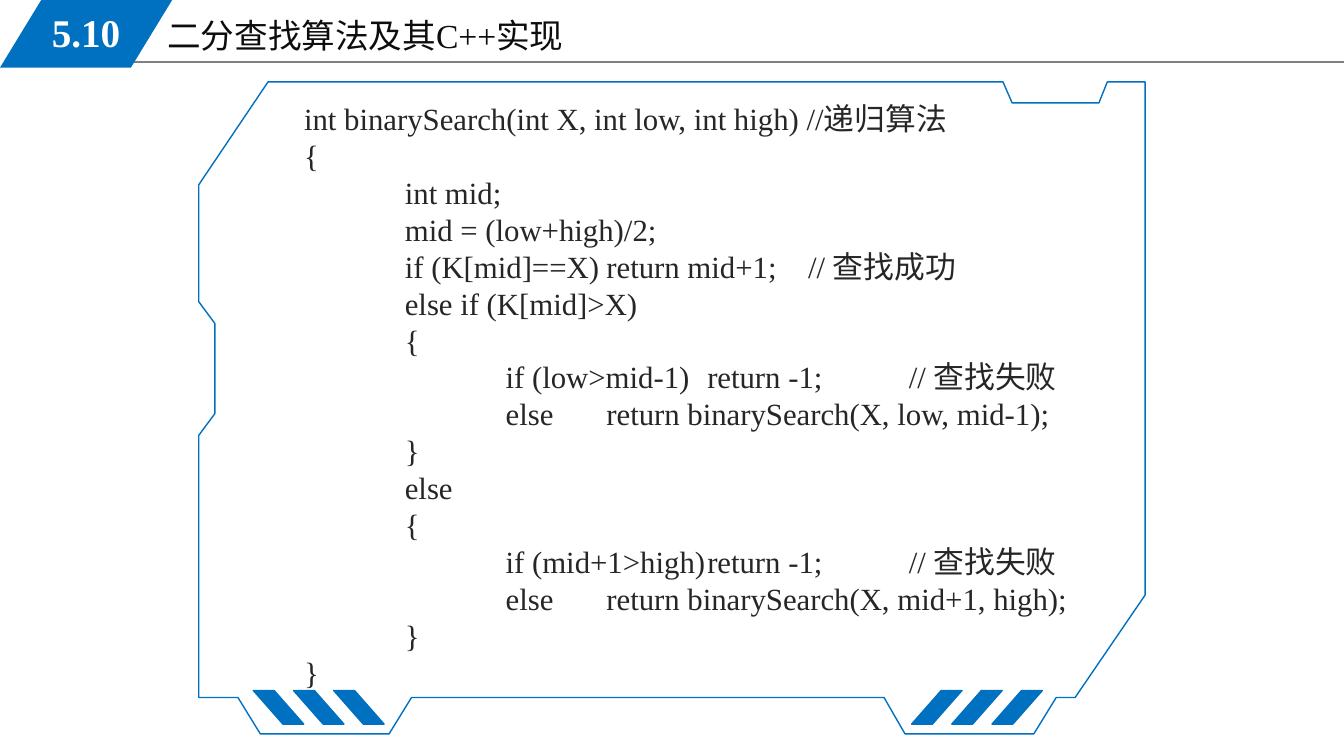
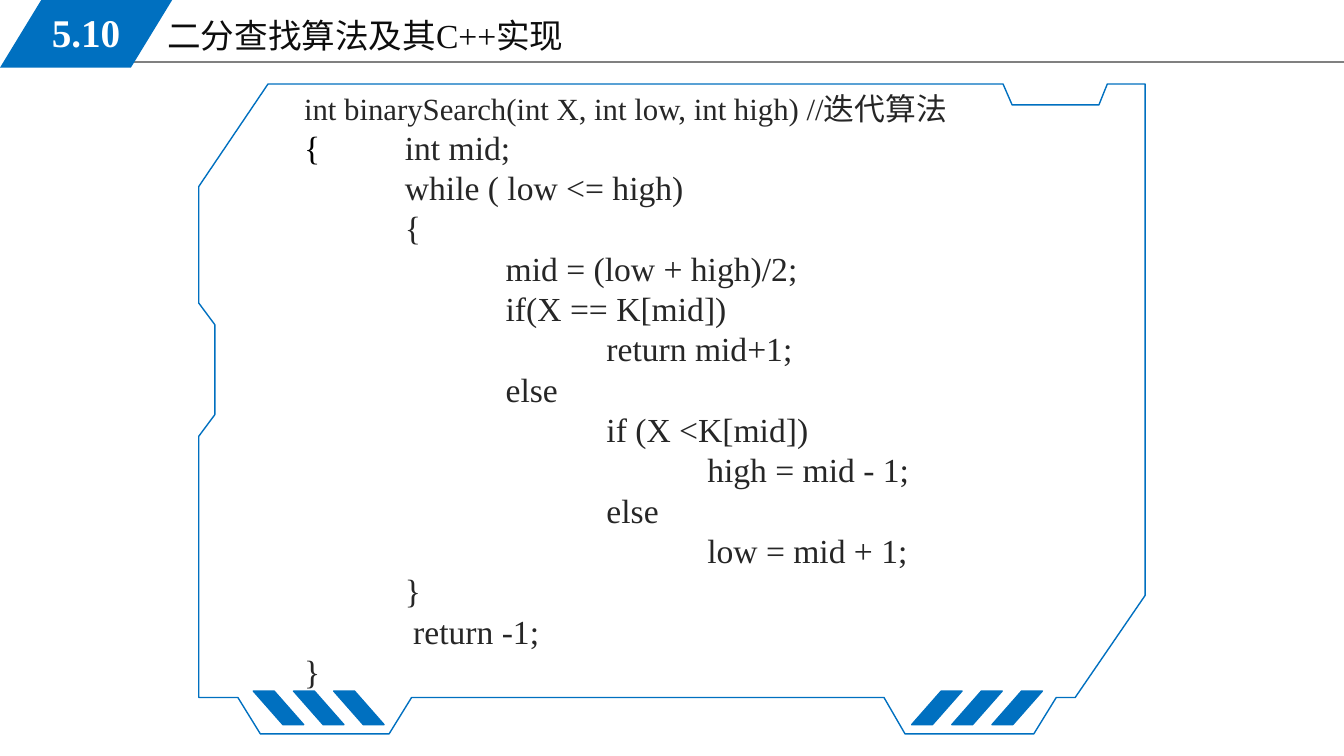
"""Build two slides that show binary search in C++, recursive and iterative."""
from lxml.etree import SubElement
from pptx import Presentation
from pptx.dml.color import RGBColor
from pptx.enum.shapes import MSO_CONNECTOR, MSO_SHAPE
from pptx.enum.text import MSO_ANCHOR, MSO_AUTO_SIZE, PP_ALIGN
from pptx.oxml.ns import qn
from pptx.util import Pt

BLUE = RGBColor(0x00, 0x70, 0xC0)
GREY = RGBColor(0x80, 0x80, 0x80)
WHITE = RGBColor(0xFF, 0xFF, 0xFF)
BLACK = RGBColor(0x00, 0x00, 0x00)
TITLE_COLOR = RGBColor(0x0D, 0x0D, 0x0D)
CODE_COLOR = RGBColor(0x26, 0x26, 0x26)
FONT = "Times New Roman"

SECTION = "5.10"
TITLE = "二分查找算法及其C++实现"

RECURSIVE = """int binarySearch(int X, int low, int high) //递归算法
{
\tint mid;
\tmid = (low+high)/2;
\tif (K[mid]==X)\treturn mid+1;\t// 查找成功
\telse if (K[mid]>X)
\t{
\t\tif (low>mid-1)\treturn -1;\t// 查找失败
\t\telse\treturn binarySearch(X, low, mid-1);
\t}
\telse
\t{
\t\tif (mid+1>high)\treturn -1;\t// 查找失败
\t\telse\treturn binarySearch(X, mid+1, high);
\t}
}"""

ITERATIVE = """int binarySearch(int X, int low, int high) //迭代算法
{\tint mid;
\twhile ( low <= high)
\t{
\t\tmid = (low + high)/2;
\t\tif(X == K[mid])
\t\t\treturn mid+1;
\t\telse
\t\t\tif (X <K[mid])
\t\t\t\thigh = mid - 1;
\t\t\telse
\t\t\t\tlow = mid + 1;
\t}
\t return -1;
}"""

SLIDES = [
    {"code": RECURSIVE, "size": 22, "code_top": 67.5, "code_height": 482, "frame_top": 58.5, "stripe_top": 493.2},
    {"code": ITERATIVE, "size": 24, "code_top": 60.5, "code_height": 441, "frame_top": 60, "stripe_top": 493.6},
]

HEADING_SIZE = 22
LINE_FACTOR = 1.2
TAB_STEP = 72

FRAME_TOP, FRAME_BOTTOM = 58.5, 524.2
FRAME_OUTLINE = [
    (646.5, 524.2), (738.5, 524.2), (754.5, 498.2), (768, 498.2), (818, 425),
    (818, 58.5), (791, 58.5), (785, 73.5), (723, 73.5), (716.5, 58.5),
    (191.5, 58.5), (142, 132), (142, 215.5), (153.5, 231), (153.5, 295.5),
    (142, 311), (142, 498.2), (170, 498.2), (186, 524.2), (278, 524.2),
    (294, 498.2), (631.5, 498.2),
]
STRIPE_WIDTH, STRIPE_HEIGHT, STRIPE_STEP = 36, 24, 28.7
STRIPE_GROUPS = [(181, True), (651.2, False)]

TITLE_BOX = {"left": Pt(112.3), "top": Pt(6.8), "width": Pt(408), "height": Pt(36.5)}
TEXT_FRAME = {"word_wrap": True, "auto_size": MSO_AUTO_SIZE.NONE, "vertical_anchor": MSO_ANCHOR.TOP,
              "margin_left": Pt(7.2), "margin_right": Pt(7.2), "margin_top": Pt(3.6), "margin_bottom": Pt(3.6)}
BADGE_FRAME = {"word_wrap": False, "vertical_anchor": MSO_ANCHOR.MIDDLE,
               "margin_left": 0, "margin_right": 0, "margin_top": 0, "margin_bottom": Pt(2.4)}


def apply(target, values):
    for name, value in values.items():
        setattr(target, name, value)


def add_text(paragraph, text, size, color, bold=False):
    run = paragraph.add_run()
    run.text = text
    apply(run.font, {"name": FONT, "size": Pt(size), "bold": bold})
    run.font.color.rgb = color


presentation = Presentation()
apply(presentation, {"slide_width": Pt(960), "slide_height": Pt(540)})

for content in SLIDES:
    slide = presentation.slides.add_slide(presentation.slide_layouts[1])
    shapes = slide.shapes
    title, body = slide.placeholders

    apply(title, TITLE_BOX)
    apply(title.text_frame, TEXT_FRAME)
    paragraph = title.text_frame.paragraphs[0]
    paragraph.alignment = PP_ALIGN.LEFT
    add_text(paragraph, TITLE, 24, TITLE_COLOR)

    rule = shapes.add_connector(MSO_CONNECTOR.STRAIGHT, Pt(81.5), Pt(44.3), Pt(960), Pt(44.3))
    rule.line.color.rgb = GREY
    rule.line.width = Pt(0.75)
    SubElement(rule._element.spPr, qn("a:effectLst"))

    badge = shapes.add_shape(MSO_SHAPE.PARALLELOGRAM, 0, 0, Pt(123), Pt(48.3))
    badge.adjustments[0] = 0.61
    badge.shadow.inherit = False
    badge.fill.solid()
    badge.fill.fore_color.rgb = BLUE
    badge.line.fill.background()
    apply(badge.text_frame, BADGE_FRAME)
    paragraph = badge.text_frame.paragraphs[0]
    paragraph.alignment = PP_ALIGN.CENTER
    add_text(paragraph, SECTION, 28, WHITE, bold=True)

    stretch = (FRAME_BOTTOM - content["frame_top"]) / (FRAME_BOTTOM - FRAME_TOP)
    outline = [(Pt(x), Pt(FRAME_BOTTOM - (FRAME_BOTTOM - y) * stretch)) for x, y in FRAME_OUTLINE]
    builder = shapes.build_freeform(*outline[0])
    builder.add_line_segments(outline[1:], close=True)
    frame = builder.convert_to_shape()
    frame.shadow.inherit = False
    frame.fill.background()
    frame.line.color.rgb = BLUE
    frame.line.width = Pt(1)

    for start, mirrored in STRIPE_GROUPS:
        for index in range(3):
            stripe = shapes.add_shape(MSO_SHAPE.PARALLELOGRAM, Pt(start + index * STRIPE_STEP),
                                      Pt(content["stripe_top"]), Pt(STRIPE_WIDTH), Pt(STRIPE_HEIGHT))
            stripe.adjustments[0] = 0.88
            stripe.shadow.inherit = False
            stripe.fill.solid()
            stripe.fill.fore_color.rgb = BLUE
            stripe.line.color.rgb = BLUE
            stripe.line.width = Pt(1)
            if mirrored:
                stripe._element.spPr.xfrm.set("flipH", "1")

    apply(body, {"left": Pt(210), "top": Pt(content["code_top"]),
                 "width": Pt(652), "height": Pt(content["code_height"])})
    apply(body.text_frame, TEXT_FRAME)
    for number, line in enumerate(content["code"].split("\n")):
        paragraph = body.text_frame.add_paragraph() if number else body.text_frame.paragraphs[0]
        size = content["size"] if number else HEADING_SIZE
        properties = paragraph._p.get_or_add_pPr()
        for name, value in {"marL": 0, "indent": 0, "defTabSz": Pt(TAB_STEP)}.items():
            properties.set(name, str(value))
        SubElement(properties, qn("a:buNone"))
        apply(paragraph, {"line_spacing": Pt(size * LINE_FACTOR), "space_before": Pt(0), "space_after": Pt(0)})
        if line.startswith("{\t"):
            add_text(paragraph, "{", size, BLACK)
            line = line[1:]
        add_text(paragraph, line, size, CODE_COLOR)

presentation.save("out.pptx")
